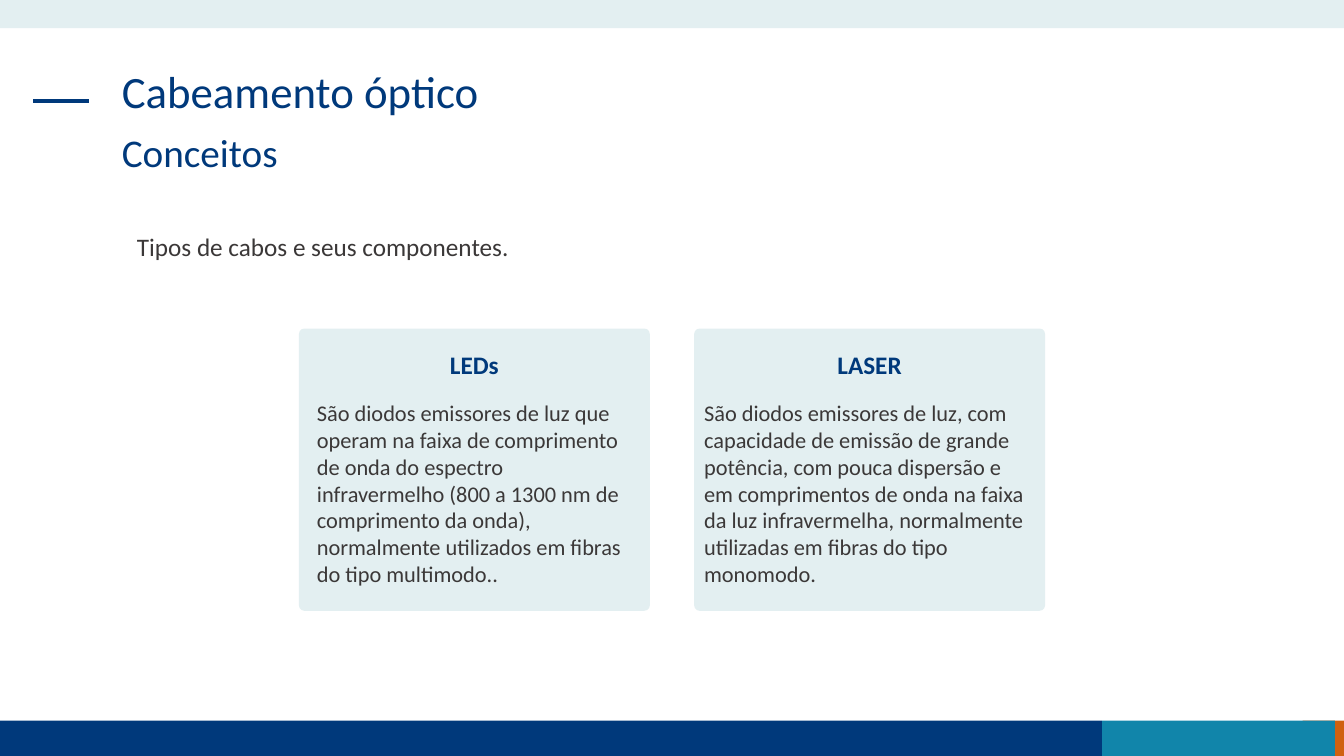
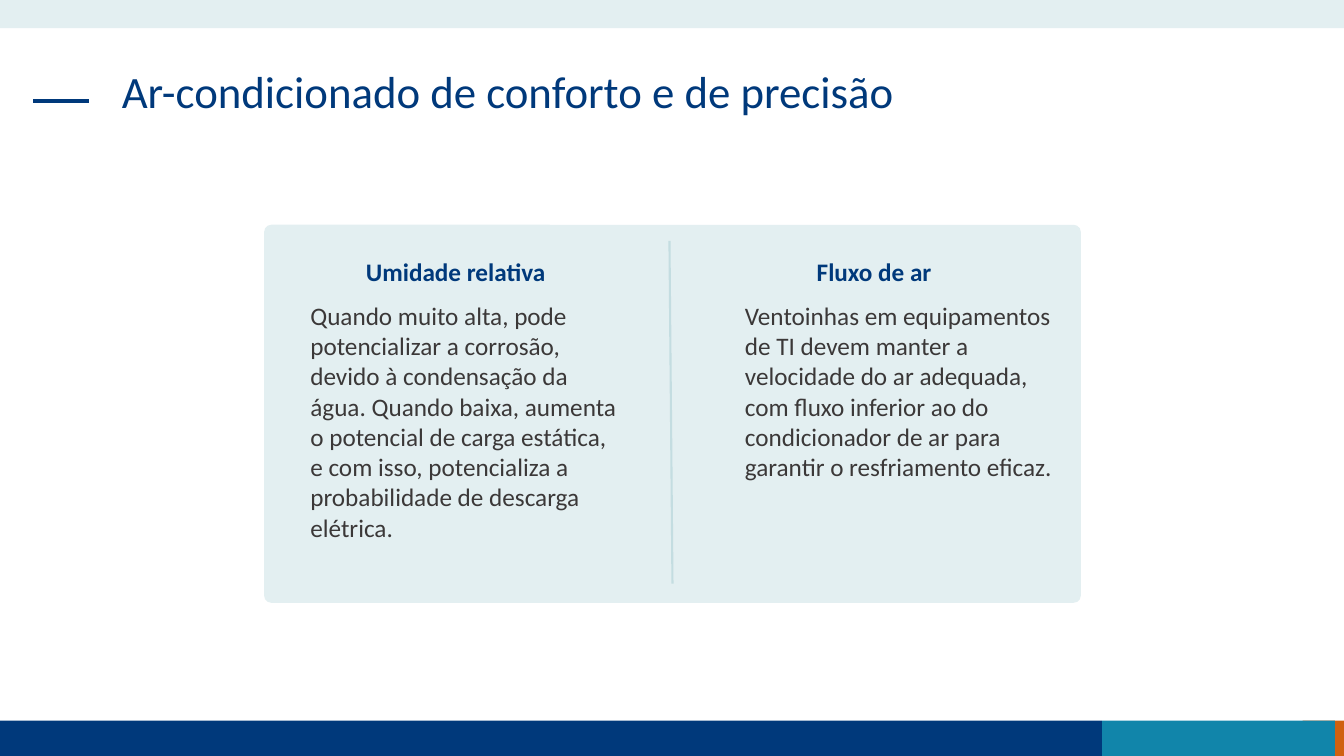
from pptx import Presentation
from pptx.dml.color import RGBColor
from pptx.enum.shapes import MSO_CONNECTOR, MSO_SHAPE
from pptx.enum.text import PP_ALIGN
from pptx.util import Inches, Pt
from lxml import etree

# Shared style
FONT = "Calibri"
COLORS = {
    "navy": "00397B",
    "teal": "1185AA",
    "orange": "D06110",
    "pale": "E3EFF1",
    "divider": "C4DDE1",
    "text": "3B3838",
}
SLIDE_WIDTH, SLIDE_HEIGHT = 13.33, 7.5
FOOTER_HEIGHT = 0.35
FOOTER_TOP = SLIDE_HEIGHT - FOOTER_HEIGHT
BANDS = [  # left, top, width, height, color
    (12.92, FOOTER_TOP, 0.41, FOOTER_HEIGHT, "orange"),
    (0, FOOTER_TOP, 10.93, FOOTER_HEIGHT, "navy"),
    (10.93, FOOTER_TOP, 2.31, FOOTER_HEIGHT, "teal"),
    (0, 0, SLIDE_WIDTH, 0.28, "pale"),
]
HEADING = {"color": "navy", "bold": True, "align": PP_ALIGN.CENTER}

# Content
CABLING = {
    "title": "Cabeamento óptico",
    "subtitle": "Conceitos",
    "intro": "Tipos de cabos e seus componentes.",
    "cards": [  # heading, body, body offset from card, body width
        ("LEDs",
         "São diodos emissores de luz que operam na faixa de comprimento de onda "
         "do espectro infravermelho (800 a 1300 nm de comprimento da onda), "
         "normalmente utilizados em fibras do tipo multimodo..", 0.08, 3.3),
        ("LASER",
         "São diodos emissores de luz, com capacidade de emissão de grande potência, "
         "com pouca dispersão e em comprimentos de onda na faixa da luz infravermelha, "
         "normalmente utilizadas em fibras do tipo monomodo.", 0, 3.39),
    ],
}
COOLING = {
    "title": "Ar-condicionado de conforto e de precisão",
    "columns": [  # heading, heading left, body, body left
        ("Umidade relativa", 2.9,
         "Quando muito alta, pode potencializar a corrosão, devido à condensação da "
         "água. Quando baixa, aumenta o potencial de carga estática, e com isso, "
         "potencializa a probabilidade de descarga elétrica.", 2.98),
        ("Fluxo de ar", 7.05,
         "Ventoinhas em equipamentos de TI devem manter a velocidade do ar adequada, "
         "com fluxo inferior ao do condicionador de ar para garantir o resfriamento "
         "eficaz.", 7.29),
    ],
}


def rgb(name):
    return RGBColor.from_string(COLORS[name])


def add_text(slide, text, left, top, width, height, size=18, color="text",
             bold=False, align=PP_ALIGN.LEFT, line_spacing=None):
    box = slide.shapes.add_textbox(Inches(left), Inches(top), Inches(width), Inches(height))
    box.text_frame.word_wrap = True
    paragraph = box.text_frame.paragraphs[0]
    paragraph.text = text
    paragraph.alignment = align
    if line_spacing:
        paragraph.line_spacing = line_spacing
    font = paragraph.font
    font.name, font.size, font.bold = FONT, Pt(size), bold
    font.color.rgb = rgb(color)


def add_block(slide, left, top, width, height, color, kind=MSO_SHAPE.RECTANGLE):
    shape = slide.shapes.add_shape(kind, Inches(left), Inches(top), Inches(width), Inches(height))
    shape.shadow.inherit = False
    shape.fill.solid()
    shape.fill.fore_color.rgb = rgb(color)
    shape.line.fill.background()
    return shape


def add_card(slide, left, top, width, height):
    card = add_block(slide, left, top, width, height, "pale", MSO_SHAPE.ROUNDED_RECTANGLE)
    card.adjustments[0] = 0.019


def add_line(slide, start, end, color, weight):
    line = slide.shapes.add_connector(
        MSO_CONNECTOR.STRAIGHT, *(Inches(value) for value in (*start, *end)))
    line.line.color.rgb = rgb(color)
    line.line.width = Pt(weight)
    properties = line._element.spPr
    namespace = properties.nsmap["a"]
    etree.SubElement(properties, f"{{{namespace}}}effectLst")


def add_base_slide(presentation, title):
    slide = presentation.slides.add_slide(presentation.slide_layouts[6])
    for band in BANDS:
        add_block(slide, *band)
    add_line(slide, (0.33, 1), (0.88, 1), "navy", 3)
    add_text(slide, title, 1.11, 0.64, 11.1, 0.94, size=32, color="navy", line_spacing=0.9)
    return slide


def build_cabling(presentation):
    slide = add_base_slide(presentation, CABLING["title"])
    add_text(slide, CABLING["intro"], 1.26, 2.25, 4.48, 0.4)
    add_text(slide, CABLING["subtitle"], 1.11, 1.28, 8.75, 0.59,
             size=28, color="navy", line_spacing=0.9)

    # Two cards centred on the slide
    top, width, height, gap = 3.26, 3.48, 2.8, 0.44
    cards = CABLING["cards"]
    first_left = (SLIDE_WIDTH - len(cards) * width - (len(cards) - 1) * gap) / 2
    heading_width = 3.01
    for index, (heading, body, offset, body_width) in enumerate(cards):
        left = first_left + index * (width + gap)
        add_card(slide, left, top, width, height)
        add_text(slide, heading, left + (width - heading_width) / 2, top + 0.16,
                 heading_width, 0.4, **HEADING)
        add_text(slide, body, left + offset, top + 0.65, body_width, 1.99, size=16)


def build_cooling(presentation):
    slide = add_base_slide(presentation, COOLING["title"])

    # One panel, split by a divider
    add_card(slide, 2.62, 2.23, 8.1, 3.75)
    add_line(slide, (6.64, 2.39), (6.67, 5.79), "divider", 1.5)
    for heading, heading_left, body, body_left in COOLING["columns"]:
        add_text(slide, heading, heading_left, 2.49, 3.24, 0.4, **HEADING)
        add_text(slide, body, body_left, 2.93, 3.24, 2.52)


def main():
    presentation = Presentation()
    presentation.slide_width = Inches(SLIDE_WIDTH)
    presentation.slide_height = Inches(SLIDE_HEIGHT)
    build_cabling(presentation)
    build_cooling(presentation)
    presentation.save("out.pptx")


if __name__ == "__main__":
    main()
